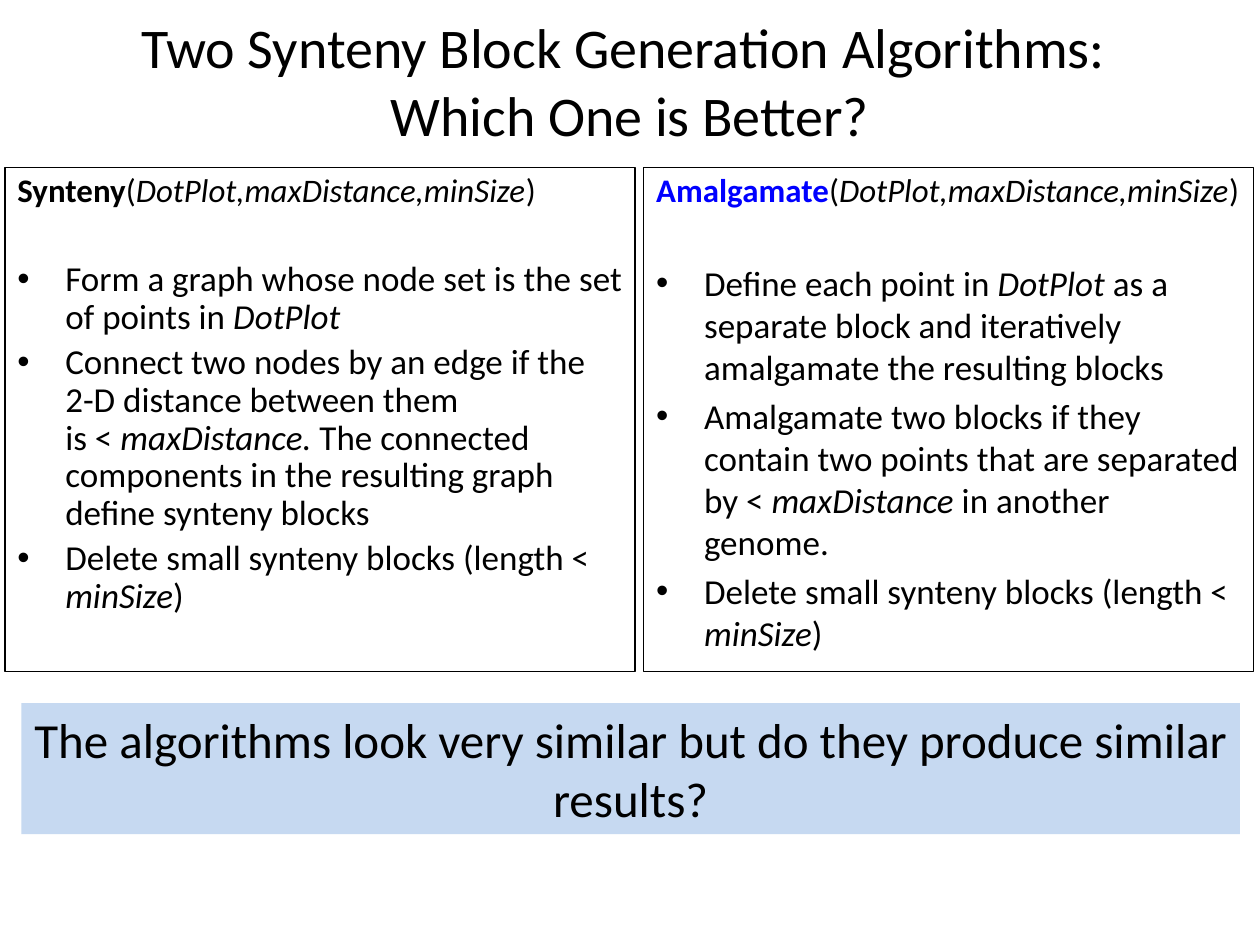
from dataclasses import dataclass

from lxml.etree import SubElement
from pptx import Presentation
from pptx.dml.color import RGBColor
from pptx.enum.shapes import MSO_SHAPE
from pptx.enum.text import MSO_ANCHOR, PP_ALIGN
from pptx.oxml.ns import qn
from pptx.util import Inches, Pt


@dataclass(frozen=True)
class Theme:
    font: str = "Calibri"
    text: RGBColor = RGBColor(0, 0, 0)
    accent: RGBColor = RGBColor(0, 0, 255)
    banner: RGBColor = RGBColor(0xC6, 0xD9, 0xF1)
    title_size: Pt = Pt(32)
    question_size: Pt = Pt(28)
    bullet_size: Pt = Pt(20)
    signature_size: Pt = Pt(18.8)


theme = Theme()


def style(paragraph, size, align=PP_ALIGN.LEFT):
    paragraph.alignment = align
    paragraph.font.name = theme.font
    paragraph.font.size = size
    paragraph.font.color.rgb = theme.text


def add_marked_text(paragraph, marked):
    """Add runs, setting the parts between asterisks in italics."""
    for index, part in enumerate(marked.split("*")):
        if part:
            for line_index, line in enumerate(part.split("\n")):
                if line_index:
                    paragraph.add_line_break()
                run = paragraph.add_run()
                run.text = line
                if index % 2:
                    run.font.italic = True


presentation = Presentation()
presentation.slide_width = Inches(10)
presentation.slide_height = Inches(7.5)
slide = presentation.slides.add_slide(presentation.slide_layouts[6])

# Title
title = slide.shapes.add_textbox(Inches(0), Inches(0.11), Inches(10), Inches(1.05))
title.text_frame.word_wrap = True
title.text_frame.vertical_anchor = MSO_ANCHOR.MIDDLE
heading = title.text_frame.paragraphs[0]
heading.text = "Two Synteny Block Generation Algorithms: \vWhich One is Better?"
style(heading, theme.title_size, PP_ALIGN.CENTER)

# Two algorithms side by side: left, width, name, name colour, bullet spacing, steps
delete_step = "Delete small synteny blocks (length < *minSize*)"
algorithms = [
    (0.04, 5, "Synteny", theme.text, 0.9, [
        "Form a graph whose node set is the set of points in *DotPlot*",
        "Connect two nodes by an edge if the\n2-D distance between them\nis < *maxDistance. *"
        "The connected components in the resulting graph define synteny blocks",
        delete_step,
    ]),
    (5.11, 4.84, "Amalgamate", theme.accent, 1.0, [
        "Define each point in *DotPlot *as a separate block and iteratively "
        "amalgamate the resulting blocks",
        "Amalgamate two blocks if they contain two points that are separated by "
        "< *maxDistance* in another genome.",
        delete_step,
    ]),
]
for left, width, name, name_color, spacing, steps in algorithms:
    panel = slide.shapes.add_shape(
        MSO_SHAPE.RECTANGLE, Inches(left), Inches(1.33), Inches(width), Inches(4))
    panel.shadow.inherit = False
    panel.fill.background()
    panel.line.color.rgb = theme.text
    panel.line.width = Pt(0.75)
    frame = panel.text_frame
    frame.word_wrap = True
    frame.vertical_anchor = MSO_ANCHOR.TOP

    signature = frame.paragraphs[0]
    signature.line_spacing = 0.9
    style(signature, theme.signature_size)
    name_run = signature.add_run()
    name_run.text = name
    name_run.font.bold = True
    name_run.font.color.rgb = name_color
    add_marked_text(signature, "(*DotPlot,maxDistance,minSize*)")

    for number, step in enumerate(steps):
        bullet = frame.add_paragraph()
        properties = bullet._p.get_or_add_pPr()
        properties.set("marL", str(Inches(0.38)))
        properties.set("indent", str(-Inches(0.38)))
        SubElement(properties, qn("a:buFont"), typeface="Arial")
        SubElement(properties, qn("a:buChar"), char="•")
        bullet.line_spacing = spacing
        bullet.space_before = Pt(4 if number else 30)
        style(bullet, theme.bullet_size)
        add_marked_text(bullet, step)

# Closing question
banner = slide.shapes.add_shape(
    MSO_SHAPE.RECTANGLE, Inches(0.17), Inches(5.58), Inches(9.67), Inches(1.04))
banner.shadow.inherit = False
banner.fill.solid()
banner.fill.fore_color.rgb = theme.banner
banner.line.fill.background()
banner.text_frame.word_wrap = True
banner.text_frame.vertical_anchor = MSO_ANCHOR.TOP
question = banner.text_frame.paragraphs[0]
question.text = "The algorithms look very similar but do they produce similar results?"
style(question, theme.question_size, PP_ALIGN.CENTER)

presentation.save("out.pptx")
